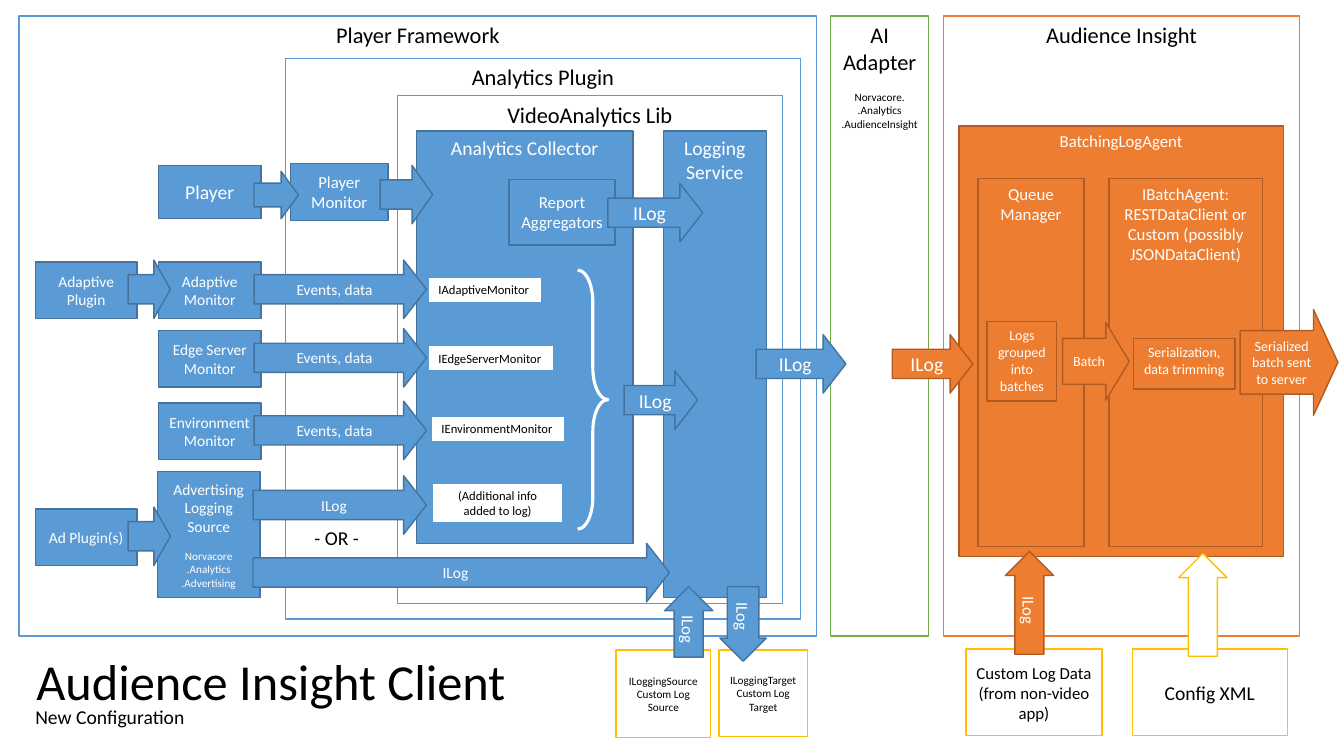
from pptx import Presentation
from pptx.dml.color import RGBColor
from pptx.enum.shapes import MSO_SHAPE
from pptx.enum.text import MSO_ANCHOR, MSO_AUTO_SIZE, PP_ALIGN
from pptx.util import Inches, Pt

WHITE = RGBColor(0xFF, 0xFF, 0xFF)
BLACK = RGBColor(0x00, 0x00, 0x00)
BLUE = RGBColor(0x5B, 0x9B, 0xD5)
NAVY = RGBColor(0x43, 0x73, 0x9E)
ORANGE = RGBColor(0xED, 0x7D, 0x31)
RUST = RGBColor(0xAF, 0x5C, 0x24)
GREEN = RGBColor(0x70, 0xAD, 0x47)
GOLD = RGBColor(0xFF, 0xC0, 0x00)

RECT = MSO_SHAPE.RECTANGLE
RIGHT = MSO_SHAPE.RIGHT_ARROW
UP = MSO_SHAPE.UP_ARROW
DOWN = MSO_SHAPE.DOWN_ARROW
BRACE = MSO_SHAPE.RIGHT_BRACE
TOP = MSO_ANCHOR.TOP
MIDDLE = MSO_ANCHOR.MIDDLE
LEFT = PP_ALIGN.LEFT
CENTER = PP_ALIGN.CENTER
FIXED = MSO_AUTO_SIZE.NONE

FONT = "Calibri"
COOL = (BLUE, NAVY, WHITE)
WARM = (ORANGE, RUST, WHITE)
TAG = (WHITE, BLUE, BLACK)
ROUND = (WHITE, GREEN, BLACK)
OUTER = (WHITE, ORANGE, BLACK)
CUSTOM = (WHITE, GOLD, BLACK)
SLIM = (0.5, 0.39)
TALL = (0.6, 0.5)


def add_line(para, text, size, color, align):
    """Fill one paragraph with a single styled run."""
    para.alignment = align
    para.line_spacing = 1.0
    para.space_before = Pt(0)
    run = para.add_run()
    run.text = text
    run.font.name = FONT
    run.font.size = Pt(size)
    run.font.color.rgb = color


def write(frame, text, size, color, align=CENTER, anchor=MIDDLE):
    """Write the lines of a text as paragraphs."""
    frame.word_wrap = True
    frame.auto_size = FIXED
    frame.vertical_anchor = anchor
    for i, line in enumerate(text.split("\n")):
        para = frame.add_paragraph() if i else frame.paragraphs[0]
        add_line(para, line, size, color, align)


def add_note(shape, text, color, gap):
    """Add small lines below the main label of a box."""
    for i, line in enumerate(text.split("\n")):
        para = shape.text_frame.add_paragraph()
        add_line(para, line, 8, color, CENTER)
        if i == 0:
            para.space_before = Pt(gap)


def draw(slide, kind, at, style, text="", size=12, anchor=MIDDLE, align=CENTER, adjust=()):
    """Draw a filled preset shape with its label."""
    fill, edge, ink = style
    shape = slide.shapes.add_shape(kind, *map(Inches, at))
    shape.shadow.inherit = False
    shape.fill.solid()
    shape.fill.fore_color.rgb = fill
    shape.line.color.rgb = edge
    shape.line.width = Pt(1)
    for i, value in enumerate(adjust):
        shape.adjustments[i] = value
    if text:
        write(shape.text_frame, text, size, ink, align, anchor)
    return shape


def add_panel(slide, at, style, text, size=16):
    """Draw a box with its label at the top."""
    return draw(slide, RECT, at, style, text, size, TOP)


def add_box(slide, at, text, size=11, style=COOL):
    """Draw a box with its label in the middle."""
    return draw(slide, RECT, at, style, text, size)


def add_arrow(slide, at, text="", size=14, style=COOL, adjust=SLIM):
    """Draw an arrow that points right."""
    return draw(slide, RIGHT, at, style, text, size, adjust=adjust)


def add_post(slide, kind, at, style, text="", adjust=TALL):
    """Draw an upright arrow with a turned label."""
    shape = draw(slide, kind, at, style, text, adjust=adjust)
    shape.element.txBody.bodyPr.set("vert", "vert")


def add_tag(slide, at, text):
    """Draw a white one-line name tag."""
    tag = draw(slide, RECT, at, TAG, text, 9, TOP, LEFT)
    tag.text_frame.word_wrap = False


def add_brace(slide, at):
    """Draw the white brace beside the tags."""
    brace = slide.shapes.add_shape(BRACE, *map(Inches, at))
    brace.shadow.inherit = False
    brace.fill.background()
    brace.line.color.rgb = WHITE
    brace.line.width = Pt(2.25)
    brace.adjustments[0] = 1.05
    brace.adjustments[1] = 0.5


def put_text(shape, at, text, size):
    """Place a placeholder and write its text."""
    shape.left, shape.top, shape.width, shape.height = map(Inches, at)
    write(shape.text_frame, text, size, BLACK, LEFT, TOP)


def add_panels(slide):
    """Draw the nested frames and panels."""
    add_panel(slide, (0.19, 0.16, 7.91, 6.15), TAG, "Player Framework")
    add_panel(slide, (9.36, 0.16, 3.53, 6.15), OUTER, "Audience Insight")
    add_panel(slide, (2.83, 0.58, 5.11, 5.56), TAG, "Analytics Plugin")
    add_panel(slide, (3.94, 0.95, 3.82, 5.04), TAG, "VideoAnalytics Lib")
    add_panel(slide, (6.58, 1.3, 1.02, 4.63), COOL, "Logging Service", 14)
    add_panel(slide, (4.13, 1.3, 2.15, 4.09), COOL, "Analytics Collector", 14)
    adapter = add_panel(slide, (8.24, 0.16, 0.97, 6.15), ROUND, "AI Adapter")
    add_note(adapter, "Norvacore.\n.Analytics\n.AudienceInsight", BLACK, 11)
    add_panel(slide, (9.51, 1.25, 3.22, 4.27), WARM, "BatchingLogAgent", 12)
    add_panel(slide, (9.7, 1.77, 1.05, 3.65), WARM, "Queue\nManager", 12)
    agent = "IBatchAgent:\nRESTDataClient or\nCustom (possibly JSONDataClient)"
    add_panel(slide, (11, 1.77, 1.52, 3.65), WARM, agent, 12)


def add_player(slide):
    """Draw the sources, monitors and collector parts."""
    add_box(slide, (1.57, 1.64, 1.02, 0.53), "Player", 14)
    add_box(slide, (2.88, 1.62, 0.97, 0.57), "Player Monitor", 12)
    add_box(slide, (5.05, 1.78, 1.05, 0.65), "Report Aggregators", 12)
    add_arrow(slide, (2.52, 1.7, 0.44, 0.47))
    add_arrow(slide, (3.77, 1.64, 0.52, 0.58))
    for top, name in ((2.6, "Adaptive"), (3.28, "Edge Server"), (4, "Environment")):
        add_box(slide, (1.57, top, 1.02, 0.56), f"{name} Monitor")
        add_arrow(slide, (2.52, top - 0.02, 1.71, 0.58), "Events, data", 11)
    source = add_box(slide, (1.56, 4.68, 1.02, 1.25), "Advertising Logging Source")
    add_note(source, "Norvacore\n.Analytics\n.Advertising", WHITE, 10)
    for top, name in ((2.6, "Adaptive Plugin"), (5.05, "Ad Plugin(s)")):
        add_box(slide, (0.35, top, 1.01, 0.56), name)
        add_arrow(slide, (1.27, top - 0.02, 0.42, 0.58))
    for top, width in ((4.72, 1.72), (5.39, 4.13)):
        add_arrow(slide, (2.51, top, width, 0.58), "ILog", 11)
    for left, top, width in ((6.03, 1.82, 0.94), (6.19, 3.68, 0.73), (7.5, 3.32, 0.89)):
        add_arrow(slide, (left, top, width, 0.58), "ILog")
    add_tag(slide, (4.25, 2.75, 1.12, 0.25), "IAdaptiveMonitor")
    add_tag(slide, (4.25, 3.43, 1.24, 0.25), "IEdgeServerMonitor")
    add_tag(slide, (4.28, 4.13, 1.32, 0.25), "IEnvironmentMonitor")
    add_panel(slide, (4.29, 4.79, 1.29, 0.4), TAG, "(Additional info added to log)", 9)
    add_brace(slide, (5.73, 2.68, 0.3, 2.57))
    label = slide.shapes.add_textbox(*map(Inches, (3.02, 5.17, 0.65, 0.34)))
    write(label.text_frame, "- OR -", 14, BLACK, LEFT, TOP)


def add_batch(slide):
    """Draw the batching steps."""
    add_arrow(slide, (8.85, 3.32, 0.8, 0.58), "ILog", style=WARM)
    add_panel(slide, (9.79, 3.19, 0.69, 0.79), WARM, "Logs grouped into batches", 10)
    add_arrow(slide, (10.54, 3.2, 0.66, 0.77), "Batch", 10, WARM, (0.59, 0.35))
    add_panel(slide, (11.24, 3.36, 1.01, 0.5), WARM, "Serialization, data trimming", 10)
    sent = "Serialized batch sent to server"
    add_arrow(slide, (12.3, 3.07, 0.97, 1.05), sent, 10, WARM, (0.6, 0.25))


def add_custom(slide):
    """Draw the custom inputs and targets below the frames."""
    add_box(slide, (6.11, 6.45, 0.94, 0.87), "ILoggingSource\nCustom Log\nSource", 8, CUSTOM)
    add_box(slide, (7.13, 6.45, 0.88, 0.86), "ILoggingTarget\nCustom Log\nTarget", 8, CUSTOM)
    add_box(slide, (9.58, 6.44, 1.35, 0.86), "Custom Log Data (from non-video app)", 12, CUSTOM)
    add_box(slide, (11.23, 6.44, 1.54, 0.86), "Config XML", 14, CUSTOM)
    add_post(slide, UP, (6.59, 5.82, 0.48, 0.7), COOL, "ILog")
    add_post(slide, DOWN, (7.14, 5.82, 0.46, 0.74), COOL, "ILog", (0.68, 0.5))
    add_post(slide, UP, (9.97, 5.47, 0.48, 1.02), WARM, "ILog")
    add_post(slide, UP, (11.69, 5.49, 0.48, 1.02), CUSTOM)


def main():
    """Build and save the slide."""
    deck = Presentation()
    deck.slide_width = Inches(13.33)
    deck.slide_height = Inches(7.5)
    slide = deck.slides.add_slide(deck.slide_layouts[0])
    put_text(slide.shapes.title, (0.26, 6.4, 5.42, 0.71), "Audience Insight Client", 36)
    put_text(slide.placeholders[1], (0.25, 6.94, 2.15, 0.34), "New Configuration", 14)
    add_panels(slide)
    add_player(slide)
    add_batch(slide)
    add_custom(slide)
    deck.save("out.pptx")


if __name__ == "__main__":
    main()
